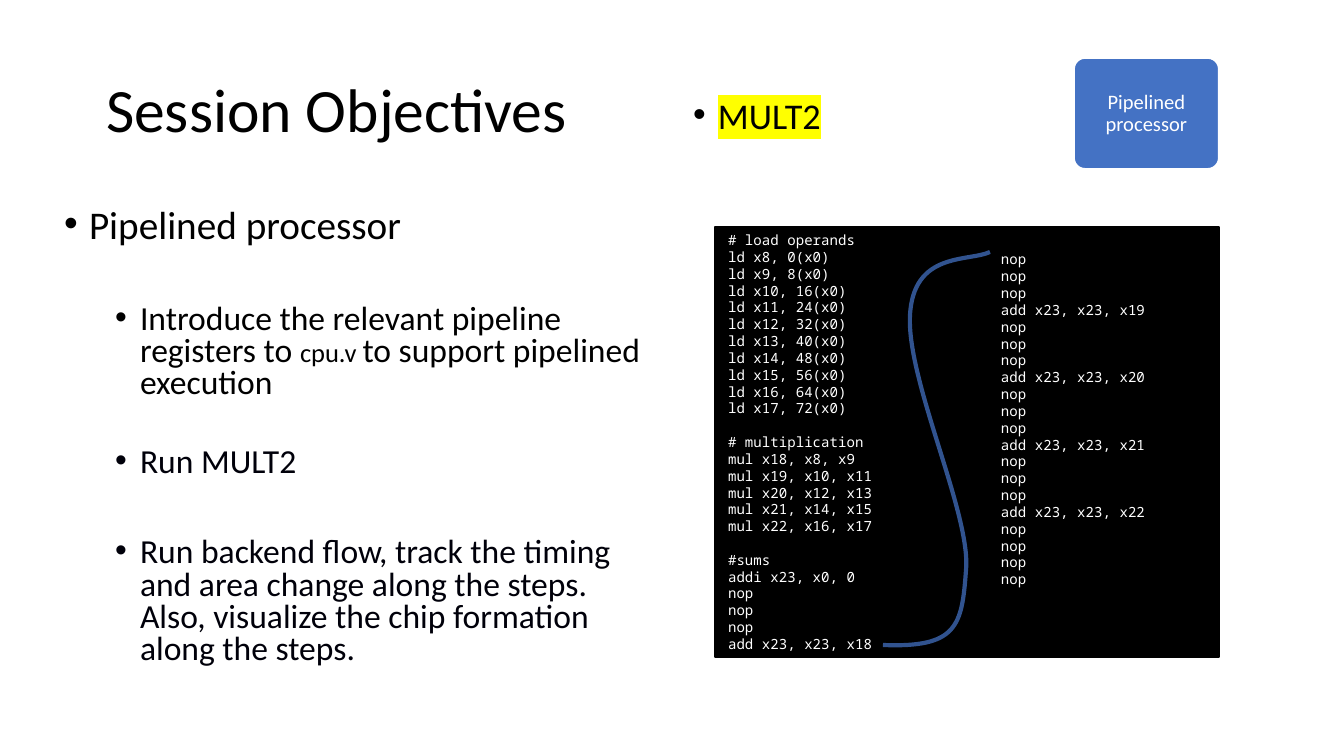
from lxml.etree import SubElement
from pptx import Presentation
from pptx.dml.color import RGBColor
from pptx.enum.shapes import MSO_SHAPE
from pptx.enum.text import MSO_ANCHOR, MSO_AUTO_SIZE, PP_ALIGN
from pptx.oxml.ns import qn
from pptx.util import Pt

PX = 914400 / 134.4
rgb = RGBColor.from_string


def place(box, frame, insets=(13, 7, 13, 7), anchor=MSO_ANCHOR.TOP):
    """Position a shape and set up its text area, all lengths in px."""
    for side, length in zip(("left", "top", "width", "height"), frame):
        setattr(box, side, round(length * PX))
    text = box.text_frame
    text.auto_size = MSO_AUTO_SIZE.NONE
    text.word_wrap = True
    text.vertical_anchor = anchor
    for side, length in zip(("left", "top", "right", "bottom"), insets):
        setattr(text, f"margin_{side}", round(length * PX))
    return text


def add_line(text, runs, color, font="Calibri", bullet_left=None, **spacing):
    """Write one paragraph of (words, points) runs, with a bullet if bullet_left is given."""
    paragraph = text.paragraphs[0]
    if paragraph.runs:
        paragraph = text.add_paragraph()
    layout = {"alignment": PP_ALIGN.LEFT, "line_spacing": 1.0,
              "space_before": Pt(0), "space_after": Pt(0), **spacing}
    for name, value in layout.items():
        setattr(paragraph, name, value)
    if bullet_left is not None:
        properties = paragraph._p.get_or_add_pPr()
        properties.set("marL", str(round(bullet_left * PX)))
        properties.set("indent", str(round(-25 * PX)))
        SubElement(SubElement(properties, qn("a:buClr")), qn("a:srgbClr"), val=color)
        SubElement(properties, qn("a:buFont"), typeface="Arial")
        SubElement(properties, qn("a:buChar"), char="•")
    for words, points in runs:
        run = paragraph.add_run()
        run.text = words
        run.font.size = Pt(points)
        run.font.name = font
        run.font.color.rgb = rgb(color)
    return paragraph


deck = Presentation()
deck.slide_width = round(1344 * PX)
deck.slide_height = round(756 * PX)
slide = deck.slides.add_slide(deck.slide_layouts[3])
title, objectives, program = slide.placeholders

# Title and lists
heading = place(title, (93, 40, 1159, 146), anchor=MSO_ANCHOR.MIDDLE)
add_line(heading, [("Session Objectives", 33)], "000000", line_spacing=0.9)

goals = place(objectives, (51, 202, 613, 480))
add_line(goals, [("Pipelined processor", 21)], "000000", bullet_left=25, line_spacing=0.8)
for runs, color, gap in (
    ([("Introduce the relevant pipeline registers to ", 18), ("cpu.v ", 14.2),
      ("to support pipelined execution", 18)], "000000", 31),
    ([("Run MULT2", 18)], "00000A", 25),
    ([("Run backend flow, track the timing and area change along the steps. "
       "Also, visualize the chip formation along the steps.", 18)], "00000A", 31),
):
    goal = add_line(goals, runs, color, bullet_left=76, line_spacing=0.8, space_before=Pt(gap))
    goal.level = 1

program_text = place(program, (680, 98, 605, 44))
program_name = add_line(program_text, [("MULT2", 19.4)], "000000",
                        bullet_left=25, line_spacing=0.7)
fill = program_name.runs[0]._r.rPr.find(qn("a:solidFill"))
highlight = SubElement(fill.getparent(), qn("a:highlight"))
SubElement(highlight, qn("a:srgbClr"), val="FFFF00")
fill.addnext(highlight)

# Assembly listing in two columns; each section after the first is set off by a gap
loads = ["# load operands"] + [f"ld x{8 + i}, {8 * i}(x0)" for i in range(10)]
products = ["# multiplication"] + [f"mul x{18 + i}, x{8 + 2 * i}, x{9 + 2 * i}" for i in range(5)]
stall = ["nop"] * 3
sums = ["#sums", "addi x23, x0, 0", *stall, "add x23, x23, x18"]
more_sums = [line for i in range(19, 23) for line in (*stall, f"add x23, x23, x{i}")]
columns = (
    ((715, 227, 399, 430), (13, 7, 13, 7), MSO_ANCHOR.MIDDLE, [loads, products, sums]),
    ((988, 227, 231, 430), (13, 24, 13, 7), MSO_ANCHOR.TOP, [more_sums + ["nop"] * 4]),
)
for frame, insets, anchor, sections in columns:
    column = slide.shapes.add_shape(MSO_SHAPE.RECTANGLE, 0, 0, 0, 0)
    column.shadow.inherit = False
    column.fill.solid()
    column.fill.fore_color.rgb = rgb("000000")
    column.line.color.rgb = rgb("000000")
    column.line.width = Pt(1)
    listing = place(column, frame, insets, anchor)
    for section_number, section in enumerate(sections):
        for line_number, line in enumerate(section):
            gap = 9 if section_number and not line_number else 0
            add_line(listing, [(line, 7.5)], "FFFFFF", "Noto Sans Mono", space_before=Pt(gap))

# Curve from the end of the first column to the start of the second
curve_points = [(883, 645), (957, 648), (962, 626), (966, 571), (972, 516),
                (907, 382), (910, 316), (913, 251), (969, 262), (990, 252)]
builder = slide.shapes.build_freeform(*curve_points[0], scale=PX)
builder.add_line_segments(curve_points[1:], close=False)
flow = builder.convert_to_shape()
flow.shadow.inherit = False
flow.fill.background()
flow.line.color.rgb = rgb("31538F")
flow.line.width = Pt(2.25)
segments = list(flow._element.iter(qn("a:lnTo")))
for start in range(0, len(segments), 3):
    bezier = SubElement(segments[start].getparent(), qn("a:cubicBezTo"))
    for segment in segments[start:start + 3]:
        bezier.append(segment[0])
        segment.getparent().remove(segment)

# Topic badge
badge = slide.shapes.add_shape(MSO_SHAPE.ROUNDED_RECTANGLE, 0, 0, 0, 0)
badge.adjustments[0] = 0.1
badge.shadow.inherit = False
badge.fill.solid()
badge.fill.fore_color.rgb = rgb("4472C4")
badge.line.color.rgb = rgb("FFFFFF")
badge.line.width = Pt(1)
topic = place(badge, (1074, 58, 145, 111), (10, 10, 10, 10), MSO_ANCHOR.MIDDLE)
add_line(topic, [("Pipelined processor", 11)], "FFFFFF",
         alignment=PP_ALIGN.CENTER, line_spacing=0.9)

deck.save("out.pptx")
